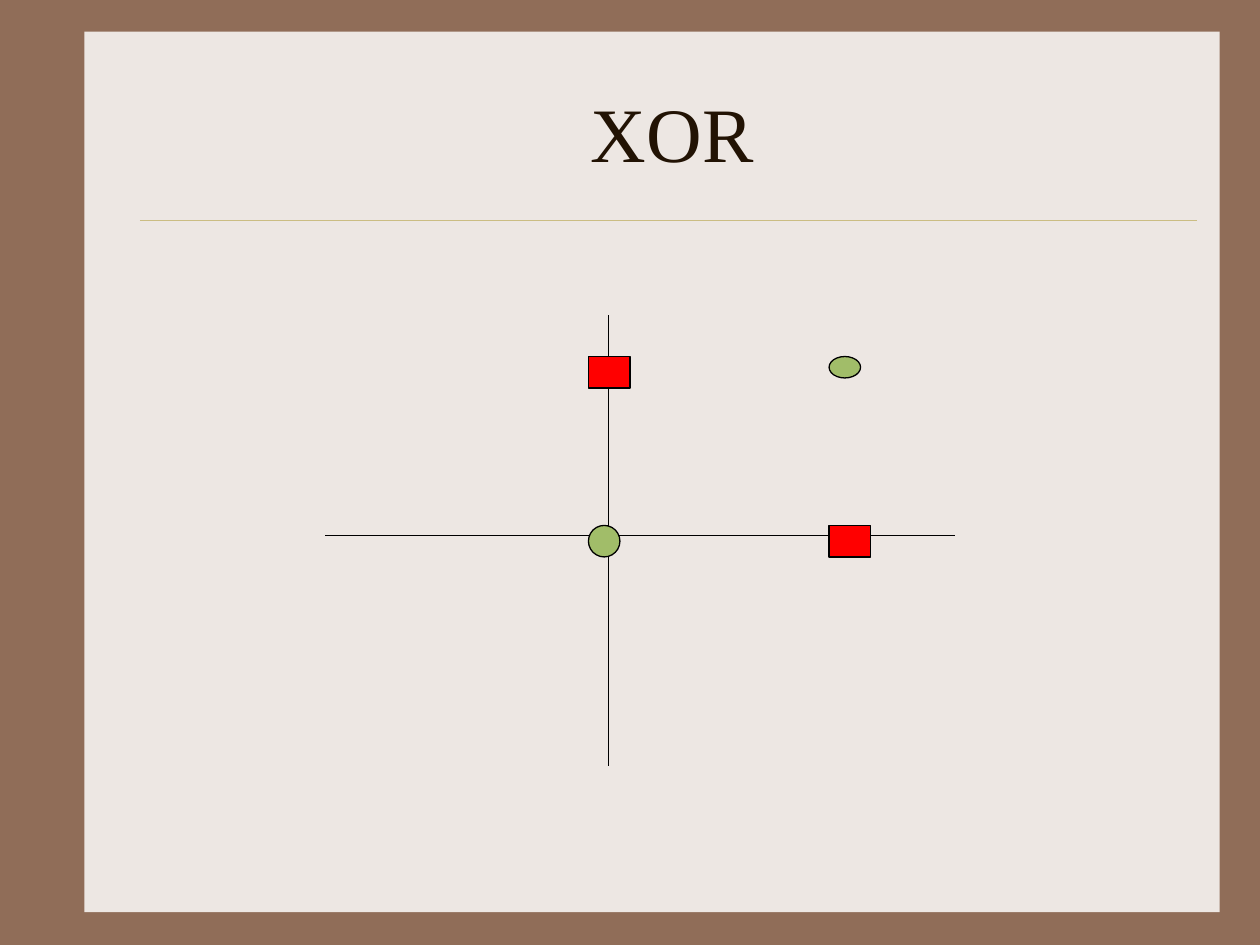
from pptx import Presentation
from pptx.dml.color import RGBColor
from pptx.enum.shapes import MSO_CONNECTOR, MSO_SHAPE
from pptx.enum.text import MSO_ANCHOR, PP_ALIGN
from pptx.oxml.ns import qn
from pptx.util import Inches, Pt
from lxml.etree import SubElement

TITLE = "XOR"
BACKGROUND, PANEL, RULE, INK = "906D58", "EDE7E3", "CBBD83", "221304"
BLACK, GREEN, RED = "000000", "A1BD69", "FF0000"

COLS = (4.67, 6.58)
ROWS = (4.17, 2.83)
LINES = [
    ((1.11, 1.75), (9.5, 1.75), RULE, 0.25),
    ((4.83, 2.5), (4.83, 6.08), BLACK, 0.75),
    ((2.58, 4.25), (7.58, 4.25), BLACK, 0.75),
]
POINTS = [
    (0, 0, 0.25, 0.25),
    (1, 1, 0.25, 0.17),
    (0, 1, 0.33, 0.25),
    (1, 0, 0.33, 0.25),
]


def rgb(color):
    return RGBColor.from_string(color)


def add_box(s, kind, box, fill, line=None):
    sp = s.shapes.add_shape(kind, *map(Inches, box))
    sp.shadow.inherit = False
    sp.fill.solid()
    sp.fill.fore_color.rgb = rgb(fill)
    if line:
        sp.line.color.rgb = rgb(line)
        sp.line.width = Pt(0.75)
    else:
        sp.line.fill.background()
    return sp


def add_line(s, start, end, color, width):
    c = s.shapes.add_connector(MSO_CONNECTOR.STRAIGHT, *map(Inches, start + end))
    c.line.color.rgb = rgb(color)
    c.line.width = Pt(width)
    SubElement(c._element.spPr, qn("a:effectLst"))


def set_title(s):
    sp = s.shapes.title
    sp.left, sp.top, sp.width, sp.height = map(Inches, (1.17, 0.42, 8.33, 1.25))
    tf = sp.text_frame
    tf.text = TITLE
    tf.vertical_anchor = MSO_ANCHOR.MIDDLE
    p = tf.paragraphs[0]
    p.alignment = PP_ALIGN.CENTER
    font = p.runs[0].font
    font.name, font.size = "Times New Roman", Pt(44)
    font.color.rgb = rgb(INK)


def main():
    prs = Presentation()
    prs.slide_width, prs.slide_height = Inches(10), Inches(7.5)
    s = prs.slides.add_slide(prs.slide_layouts[5])
    s.background.fill.solid()
    s.background.fill.fore_color.rgb = rgb(BACKGROUND)

    panel = add_box(s, MSO_SHAPE.RECTANGLE, (0.67, 0.25, 9.01, 6.99), PANEL)
    s.shapes.title._element.addprevious(panel._element)
    set_title(s)
    for line in LINES:
        add_line(s, *line)
    for x, y, w, h in POINTS:
        kind, fill = (MSO_SHAPE.RECTANGLE, RED) if x ^ y else (MSO_SHAPE.OVAL, GREEN)
        add_box(s, kind, (COLS[x], ROWS[y], w, h), fill, BLACK)
    prs.save("out.pptx")


if __name__ == "__main__":
    main()
